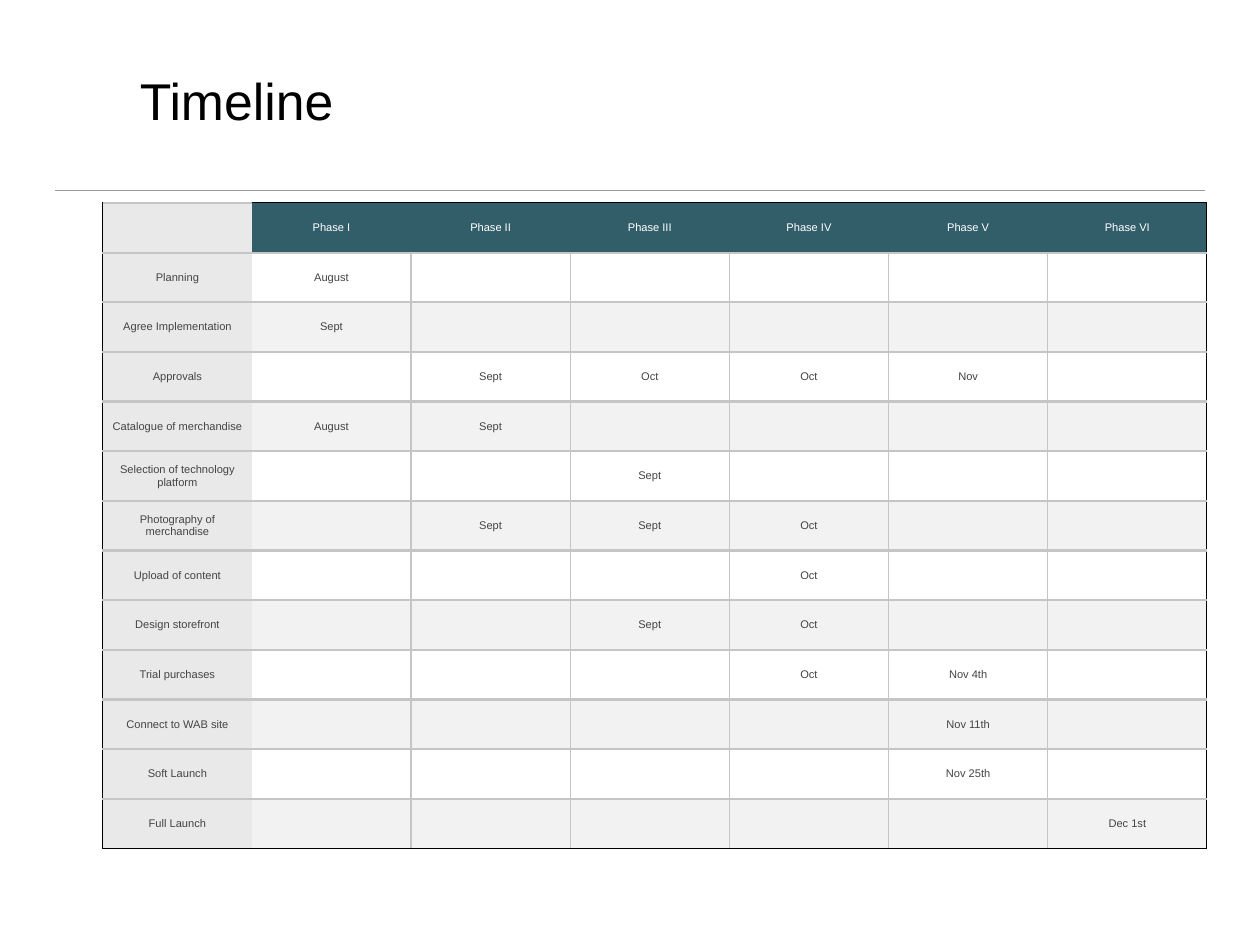
from lxml.etree import SubElement
from pptx import Presentation
from pptx.dml.color import RGBColor
from pptx.enum.shapes import MSO_CONNECTOR as CONNECTOR
from pptx.enum.text import MSO_ANCHOR as ANCHOR, PP_ALIGN as ALIGN
from pptx.oxml.ns import qn
from pptx.util import Cm, Pt

FONT = "Arial"
BLACK = RGBColor(0x00, 0x00, 0x00)
WHITE = RGBColor(0xFF, 0xFF, 0xFF)
TEAL = RGBColor(0x32, 0x5E, 0x6A)
TEXT = RGBColor(0x44, 0x44, 0x44)
LABEL = RGBColor(0xE8, 0xE9, 0xE8)
BAND = RGBColor(0xF2, 0xF2, 0xF2)
GRID = RGBColor(0xC4, 0xC6, 0xC6)
RULE = RGBColor(0x9A, 0x9A, 0x9A)

INSET = Cm(0.15)
LABEL_WIDTH = Cm(4.27)

PHASES = ["I", "II", "III", "IV", "V", "VI"]
# Each task with its dates, keyed by phase number
TASKS = [
    ("Planning", {1: "August"}),
    ("Agree Implementation", {1: "Sept"}),
    ("Approvals", {2: "Sept", 3: "Oct", 4: "Oct", 5: "Nov"}),
    ("Catalogue of merchandise", {1: "August", 2: "Sept"}),
    ("Selection of technology platform", {3: "Sept"}),
    ("Photography of merchandise", {2: "Sept", 3: "Sept", 4: "Oct"}),
    ("Upload of content", {4: "Oct"}),
    ("Design storefront", {3: "Sept", 4: "Oct"}),
    ("Trial purchases", {4: "Oct", 5: "Nov 4th"}),
    ("Connect to WAB site", {5: "Nov 11th"}),
    ("Soft Launch", {5: "Nov 25th"}),
    ("Full Launch", {6: "Dec 1st"}),
]


def set_insets(box):
    box.margin_left = box.margin_right = INSET
    box.margin_top = box.margin_bottom = INSET


def add_title(s, text, left, top, width, height):
    tf = s.shapes.add_textbox(left, top, width, height).text_frame
    tf.word_wrap = True
    tf.vertical_anchor = ANCHOR.BOTTOM
    set_insets(tf)
    p = tf.paragraphs[0]
    p.text = text
    p.font.name, p.font.size, p.font.color.rgb = FONT, Pt(42), BLACK


def add_rule(s, left, top, width):
    line = s.shapes.add_connector(CONNECTOR.STRAIGHT, left, top, left + width, top)
    line.line.color.rgb = RULE
    line.line.width = Pt(1)
    SubElement(line._element.spPr, qn("a:effectLst"))


def cell_borders(row, col):
    """Return (colour, points) or None for the left, right, top and bottom edges."""
    last_row, last_col = len(TASKS), len(PHASES)
    outer, thin, thick = (BLACK, 1), (GRID, 1), (GRID, 2)
    inner = thin if row else None
    left = outer if col == 0 else inner if col > 1 else None
    right = outer if col == last_col else inner if col else None
    top = outer if row == 0 and col else thick
    bottom = outer if row == last_row else thick
    return left, right, top, bottom


def draw_borders(cell, borders):
    tc_pr = cell._tc.get_or_add_tcPr()
    for side, border in zip("LRTB", borders):
        ln = SubElement(tc_pr, qn(f"a:ln{side}"))
        if border is None:
            SubElement(ln, qn("a:noFill"))
            continue
        colour, points = border
        ln.set("w", str(Pt(points)))
        fill = SubElement(ln, qn("a:solidFill"))
        SubElement(fill, qn("a:srgbClr")).set("val", str(colour))


def cell_fill(row, col):
    if col == 0:
        return LABEL
    if row == 0:
        return TEAL
    return WHITE if row % 2 else BAND


def add_timeline(s, left, top, width, height):
    rows = [[""] + [f"Phase {n}" for n in PHASES]]
    for task, dates in TASKS:
        rows.append([task] + [dates.get(n, "") for n in range(1, len(PHASES) + 1)])

    table = s.shapes.add_table(len(rows), len(rows[0]), left, top, width, height).table
    table.first_row = table.horz_banding = False

    # Label column, then equal phase columns
    phase_width = (width - LABEL_WIDTH) // len(PHASES)
    for c, column in enumerate(table.columns):
        column.width = phase_width if c else LABEL_WIDTH

    for r, texts in enumerate(rows):
        for c, text in enumerate(texts):
            cell = table.cell(r, c)
            draw_borders(cell, cell_borders(r, c))
            cell.fill.solid()
            cell.fill.fore_color.rgb = cell_fill(r, c)
            cell.vertical_anchor = ANCHOR.MIDDLE
            set_insets(cell)
            p = cell.text_frame.paragraphs[0]
            p.text = text
            p.alignment = ALIGN.CENTER
            p.font.name, p.font.size = FONT, Pt(9)
            p.font.color.rgb = TEXT if r else WHITE


def main():
    prs = Presentation()
    prs.slide_width, prs.slide_height = Cm(36.12), Cm(27.1)
    s = prs.slides.add_slide(prs.slide_layouts[6])
    add_rule(s, Cm(1.57), Cm(5.46), Cm(32.97))
    add_title(s, "Timeline", Cm(3.86), Cm(0), Cm(30), Cm(3.89))
    add_timeline(s, Cm(2.95), Cm(5.82), Cm(31.65), Cm(18.52))
    prs.save("out.pptx")


if __name__ == "__main__":
    main()
